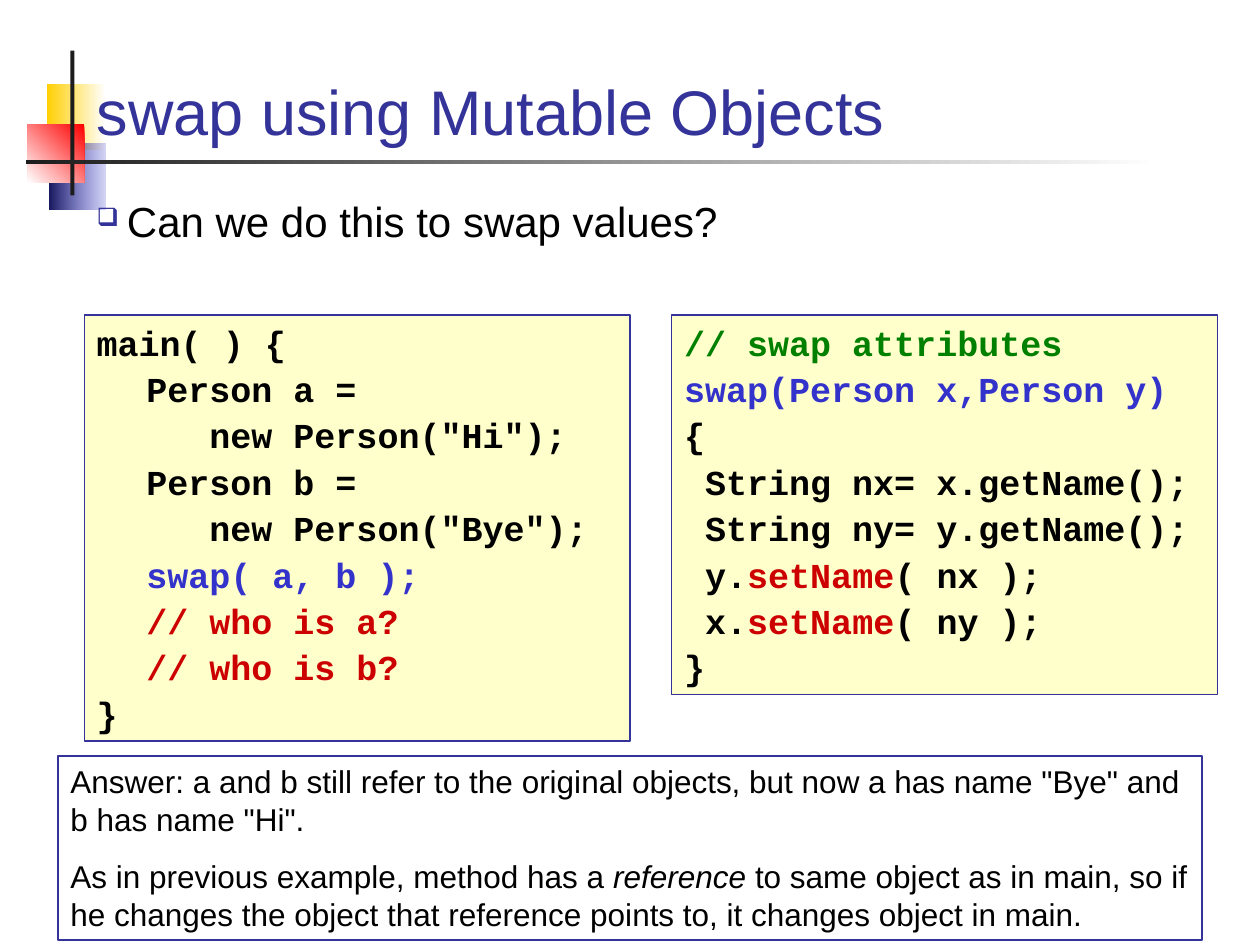
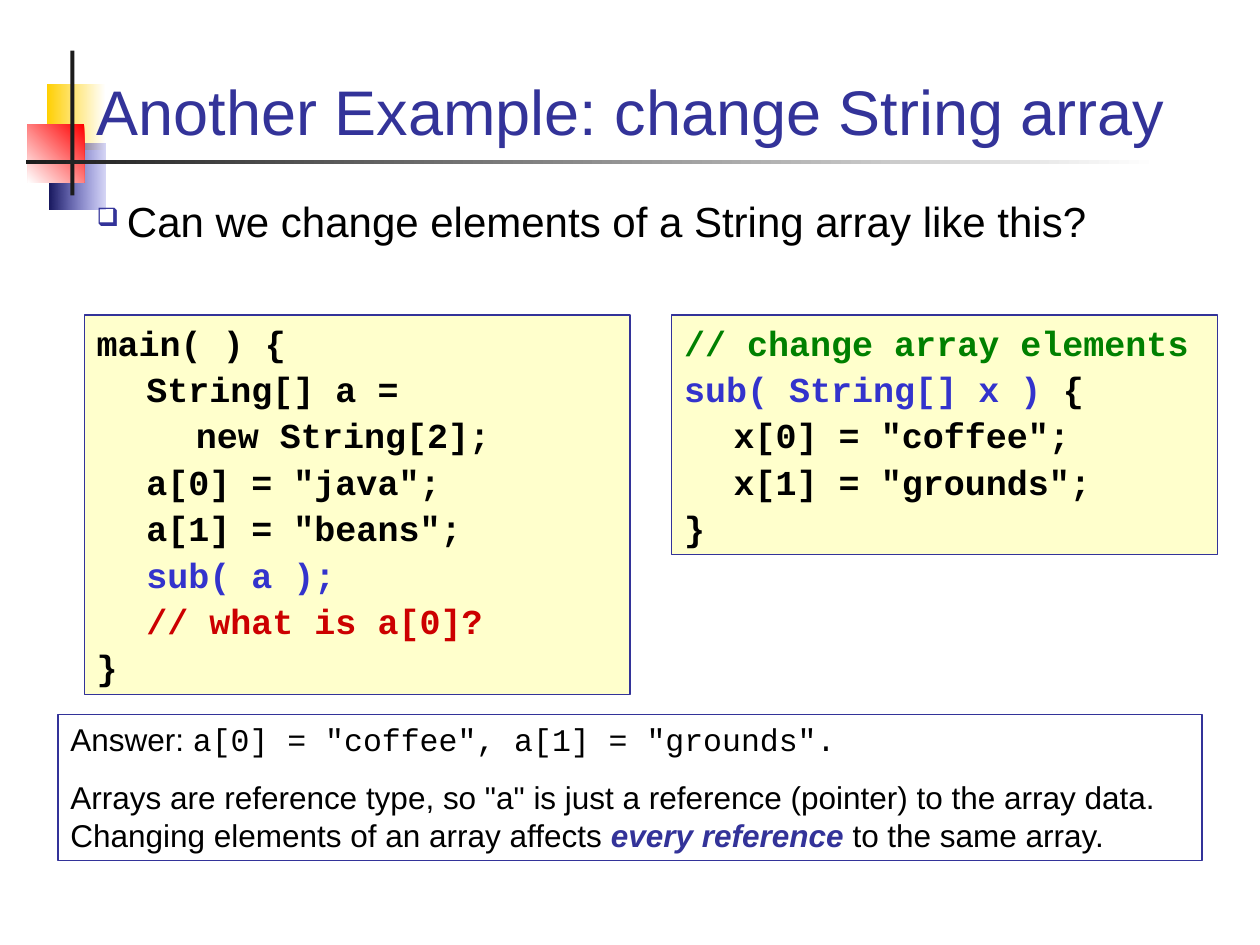
import pptx
import pptx.dml.color
import pptx.enum.shapes
import pptx.enum.text
import pptx.oxml
import pptx.oxml.ns
import pptx.util
from pptx.util import Cm, Pt

SANS, MONO = "Arial", "Courier New"
NAVY, BLUE, RED, GREEN = "333399", "3333CC", "CC0000", "008000"
BLACK, INK, CREAM, WHITE = "000000", "1C1C1C", "FFFFCC", "FFFFFF"
LINE_PITCH = 1.2  # line height as a multiple of the font size
TITLE_ONLY = 5


def rgb(hex_colour):
    return pptx.dml.color.RGBColor.from_string(hex_colour)


def add_xml(parent, tag, **attributes):
    child = pptx.oxml.parse_xml(f"<a:{tag} {pptx.oxml.ns.nsdecls('a')}/>")
    for key, value in attributes.items():
        child.set(key, str(value))
    parent.append(child)
    return child


def place(shape, left, top, width, height):
    shape.left, shape.top = Cm(left), Cm(top)
    shape.width, shape.height = Cm(width), Cm(height)


class Deck:
    """Holds the shared style and the slide being filled."""

    def __init__(self):
        self.presentation = pptx.Presentation()
        self.presentation.slide_width = Cm(25.4)
        self.presentation.slide_height = Cm(19.05)
        self.slide = None

    def start_slide(self, heading, title_width=22):
        layout = self.presentation.slide_layouts[TITLE_ONLY]
        self.slide = self.presentation.slides.add_slide(layout)
        self.ornament()
        title = self.slide.shapes.title
        # The title lies over the ornament
        self.slide.shapes._spTree.append(title._element)
        place(title, 1.7, 0.71, title_width, 2.41)
        self.frame(title, pptx.enum.text.MSO_ANCHOR.BOTTOM)
        self.paragraph(title.text_frame.paragraphs[0], [heading], 36, colour=NAVY)

    def ornament(self):
        self.block(0.94, 1.7, 1.19, 1.32, WHITE, "FFCF01")
        fading = self.block(0.99, 2.9, 1.14, 1.32, BLUE, "17175E")
        first_stop = fading.fill._fill._gradFill.gsLst[0]
        add_xml(first_stop[0], "alpha", val=20000)
        self.block(0.56, 2.51, 1.14, 1.17, "FF0000", WHITE, angle=225)
        self.block(1.42, 1.02, 0.08, 2.92, INK)
        self.block(0.53, 3.23, 22.83, 0.08, WHITE, INK)

    def block(self, left, top, width, height, colour=None, end=None, angle=180):
        """Add a rectangle without outline: unfilled, plain or graded to end."""
        shape = self.slide.shapes.add_shape(
            pptx.enum.shapes.MSO_SHAPE.RECTANGLE,
            Cm(left), Cm(top), Cm(width), Cm(height))
        shape.shadow.inherit = False
        shape.line.fill.background()
        if end:
            shape.fill.gradient()
            shape.fill.gradient_angle = angle
            for stop, stop_colour in zip(shape.fill.gradient_stops, (colour, end)):
                stop.color.rgb = rgb(stop_colour)
        elif colour:
            shape.fill.solid()
            shape.fill.fore_color.rgb = rgb(colour)
        else:
            shape.fill.background()
        return shape

    def frame(self, shape, anchor=pptx.enum.text.MSO_ANCHOR.TOP):
        text_frame = shape.text_frame
        text_frame.word_wrap = True
        text_frame.auto_size = pptx.enum.text.MSO_AUTO_SIZE.NONE
        text_frame.vertical_anchor = anchor
        return text_frame

    def paragraph(self, paragraph, parts, size, font=SANS, colour=BLACK, bold=False):
        """Fill a paragraph; a part is text, or text with its own font settings."""
        paragraph.alignment = pptx.enum.text.PP_ALIGN.LEFT
        paragraph.line_spacing = Pt(size * LINE_PITCH)
        paragraph.font.name = font
        paragraph.font.size = Pt(size)
        paragraph.font.bold = bold
        paragraph.font.color.rgb = rgb(colour)
        for part in parts:
            text, settings = (part, {}) if isinstance(part, str) else part
            run = paragraph.add_run()
            run.text = text
            for key, value in settings.items():
                if key == "colour":
                    run.font.color.rgb = rgb(value)
                else:
                    setattr(run.font, key, value)

    def question(self, text):
        box = self.slide.shapes.add_textbox(Cm(1.7), Cm(3.81), Cm(22), Cm(2.34))
        paragraph = self.frame(box).paragraphs[0]
        properties = paragraph._p.get_or_add_pPr()
        properties.set("marL", str(Cm(0.61)))
        properties.set("indent", str(-Cm(0.61)))
        add_xml(add_xml(properties, "buClr"), "srgbClr", val=NAVY)
        add_xml(properties, "buSzPct", val=60000)
        add_xml(properties, "buChar", char="❑")
        self.paragraph(paragraph, [text], 24)

    def panel(self, left, top, width, height, paragraphs, gap, fill=None, **style):
        """Add an outlined box of paragraphs with gap points between them."""
        box = self.block(left, top, width, height, fill)
        box.line.color.rgb = rgb(NAVY)
        box.line.width = Pt(0.75)
        text_frame = self.frame(box)
        for index, parts in enumerate(paragraphs):
            paragraph = text_frame.add_paragraph() if index else text_frame.paragraphs[0]
            if index:
                paragraph.space_before = Pt(gap)
            if any("\t" in part for part in parts if isinstance(part, str)):
                stops = add_xml(paragraph._p.get_or_add_pPr(), "tabLst")
                for centimetres in (1, 2):
                    add_xml(stops, "tab", pos=Cm(centimetres), algn="l")
            self.paragraph(paragraph, parts, **style)

    def code(self, column, lines):
        self.panel(1.7 + 11.84 * column, 6.35, 11, 0.94 * len(lines) + 0.13, lines,
                   gap=2.5, fill=CREAM, size=20, font=MONO, bold=True)

    def answer(self, top, height, paragraphs):
        self.panel(1.17, top, 23.06, height, paragraphs, gap=11.2, size=18)


def coloured(text, colour):
    return text, {"colour": colour}


def swap_slide(deck):
    deck.start_slide("swap using Mutable Objects")
    deck.question("Can we do this to swap values?")
    deck.code(0, [
        ["main( ) {"],
        ["\tPerson a ="],
        ['\t   new Person("Hi");'],
        ["\tPerson b ="],
        ['\t   new Person("Bye");'],
        ["\t", coloured("swap( a, b );", BLUE)],
        ["\t", coloured("// who is a?", RED)],
        ["\t", coloured("// who is b?", RED)],
        ["}"],
    ])
    deck.code(1, [
        [coloured("// swap attributes", GREEN)],
        [coloured("swap(Person x,Person y)", BLUE)],
        ["{"],
        [" String nx= x.getName();"],
        [" String ny= y.getName();"],
        [" y.", coloured("setName", RED), "( nx );"],
        [" x.", coloured("setName", RED), "( ny );"],
        ["}"],
    ])
    deck.answer(15.24, 3.71, [
        ["Answer: a and b still refer to the original objects, but now a has "
         'name "Bye" and b has name "Hi".'],
        ["As in previous example, method has a ", ("reference", {"italic": True}),
         " to same object as in main, so if he changes the object that "
         "reference points to, it changes object in main."],
    ])


def array_slide(deck):
    deck.start_slide("Another Example: change String array", title_width=23.27)
    deck.question("Can we change elements of a String array like this?")
    deck.code(0, [
        ["main( ) {"],
        ["\tString[] a ="],
        ["\t\tnew String[2];"],
        ['\ta[0] = "java";'],
        ['\ta[1] = "beans";'],
        ["\t", coloured("sub( a );", BLUE)],
        ["\t", coloured("// what is a[0]?", RED)],
        ["}"],
    ])
    deck.code(1, [
        [coloured("// change array elements", GREEN)],
        [coloured("sub( String[] x )", BLUE), " {"],
        ['\tx[0] = "coffee";'],
        ['\tx[1] = "grounds";'],
        ["}"],
    ])
    deck.answer(14.4, 2.95, [
        ["Answer: ", ('a[0] = "coffee", a[1] = "grounds".', {"name": MONO})],
        ['Arrays are reference type, so "a" is just a reference (pointer) to the '
         "array data.  Changing elements of an array affects ",
         ("every reference", {"colour": NAVY, "bold": True, "italic": True}),
         " to the same array."],
    ])


def main():
    deck = Deck()
    swap_slide(deck)
    array_slide(deck)
    deck.presentation.save("out.pptx")


if __name__ == "__main__":
    main()
